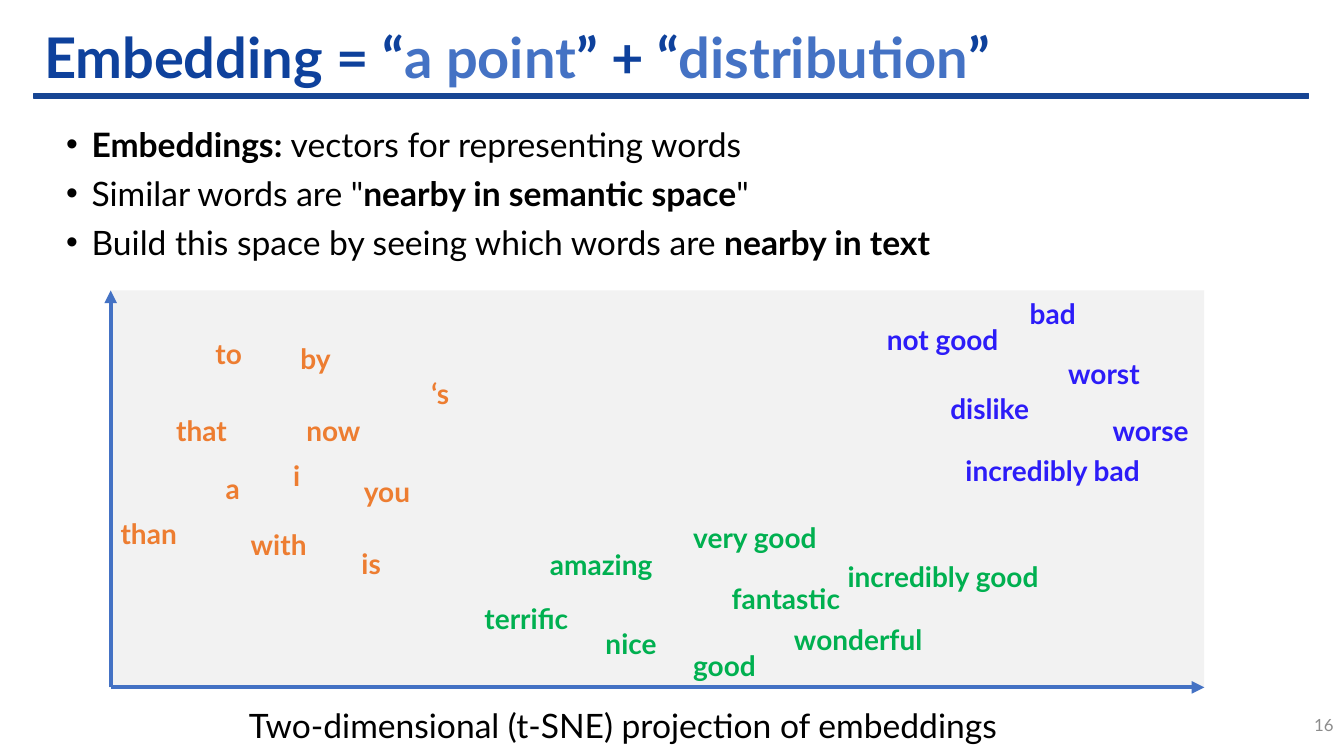
import pptx
import pptx.dml.color
import pptx.enum.shapes
import pptx.enum.text
import pptx.oxml
import pptx.oxml.ns
import pptx.util
from pptx.util import Cm

RGBColor = pptx.dml.color.RGBColor
BAR_BLUE = RGBColor(0x17, 0x45, 0x93)
TITLE_BLUE = RGBColor(0x0E, 0x41, 0x9C)
ACCENT_BLUE = RGBColor(0x44, 0x72, 0xC4)
PLOT_GREY = RGBColor(0xBF, 0xBF, 0xBF)
PAGE_GREY = RGBColor(0x8C, 0x8C, 0x8C)
BLACK = RGBColor(0x00, 0x00, 0x00)
ORANGE = RGBColor(0xED, 0x7D, 0x31)
VIOLET = RGBColor(0x2C, 0x1C, 0xF8)
GREEN = RGBColor(0x00, 0xB0, 0x50)

deck = pptx.Presentation()
deck.slide_width, deck.slide_height = Cm(33.87), Cm(19.05)
slide = deck.slides.add_slide(deck.slide_layouts[6])


def add_xml(parent, tag, **attributes):
    element = pptx.oxml.parse_xml(f"<a:{tag} {pptx.oxml.ns.nsdecls('a')}/>")
    for name, value in attributes.items():
        element.set(name, value)
    parent.append(element)


def add_text(left, top, width, height, lines, size, wrap=True):
    box = slide.shapes.add_textbox(Cm(left), Cm(top), Cm(width), Cm(height))
    frame = box.text_frame
    frame.word_wrap = wrap
    if not wrap:
        frame.auto_size = pptx.enum.text.MSO_AUTO_SIZE.SHAPE_TO_FIT_TEXT
    for index, line in enumerate(lines):
        para = frame.add_paragraph() if index else frame.paragraphs[0]
        for text, color, bold in line:
            span = para.add_run()
            span.text = text
            span.font.name = "Lato"
            span.font.size = pptx.util.Pt(size)
            span.font.bold = bold
            span.font.color.rgb = color
    return frame


bar = slide.shapes.add_shape(
    pptx.enum.shapes.MSO_SHAPE.RECTANGLE, Cm(0.86), Cm(2.36), Cm(32.11), Cm(0.13))
bar.shadow.inherit = False
bar.fill.solid()
bar.fill.fore_color.rgb = BAR_BLUE
bar.line.color.rgb = BAR_BLUE
bar.line.width = pptx.util.Pt(1)

PLOT_LEFT, PLOT_TOP, PLOT_WIDTH, PLOT_HEIGHT = 2.79, 7.32, 27.56, 10
plot = slide.shapes.add_shape(
    pptx.enum.shapes.MSO_SHAPE.RECTANGLE,
    Cm(PLOT_LEFT), Cm(PLOT_TOP), Cm(PLOT_WIDTH), Cm(PLOT_HEIGHT))
plot.shadow.inherit = False
plot.fill.solid()
plot.fill.fore_color.rgb = PLOT_GREY
plot.line.fill.background()
grey = plot.fill._xPr.find(".//" + pptx.oxml.ns.qn("a:srgbClr"))
add_xml(grey, "alpha", val="20000")

title = add_text(0.86, 0.66, 32.11, 1.7, [[
    ("Embedding = “", TITLE_BLUE, True),
    ("a point", ACCENT_BLUE, True),
    ("” + “", TITLE_BLUE, True),
    ("distribution", ACCENT_BLUE, True),
    ("”", TITLE_BLUE, True),
]], 40)
title.vertical_anchor = pptx.enum.text.MSO_ANCHOR.MIDDLE
title.paragraphs[0].line_spacing = 0.9

points = add_text(1.42, 3, 29.21, 3.58, [
    [("Embeddings: ", BLACK, True), ("vectors for representing words", BLACK, False)],
    [("Similar words are \"", BLACK, False), ("nearby in semantic space", BLACK, True),
     ("\"", BLACK, False)],
    [("Build this space by seeing which words are ", BLACK, False),
     ("nearby in text", BLACK, True)],
], 24)
for index, para in enumerate(points.paragraphs):
    properties = para._p.get_or_add_pPr()
    properties.set("marL", str(Cm(0.64)))
    properties.set("indent", str(Cm(-0.64)))
    add_xml(properties, "buFont", typeface="Arial")
    add_xml(properties, "buChar", char="•")
    if index:
        para.space_before = pptx.util.Pt(6)

word_clusters = {
    ORANGE: [
        ("to", 5.18, 8.36, 1.19), ("by", 7.32, 8.48, 1.35), ("‘s", 10.62, 9.37, 1.12),
        ("now", 7.47, 10.29, 1.93), ("that", 4.19, 10.29, 1.83), ("a", 5.44, 11.76, 0.91),
        ("i", 7.14, 11.43, 0.71), ("you", 8.92, 11.84, 1.78), ("than", 2.79, 12.88, 2.01),
        ("with", 6.07, 13.18, 1.93), ("is", 8.86, 13.64, 1.12),
    ],
    VIOLET: [
        ("not good", 22.1, 8, 3.56), ("bad", 25.7, 7.34, 1.78), ("worst", 26.67, 8.86, 2.41),
        ("worse", 27.79, 10.29, 2.57), ("dislike", 23.7, 9.75, 2.72),
        ("incredibly bad", 24.08, 11.3, 5.33),
    ],
    GREEN: [
        ("amazing", 13.61, 13.67, 3.35), ("very good", 17.22, 13, 3.91),
        ("fantastic", 18.19, 14.53, 3.43), ("incredibly good", 21.11, 13.97, 5.82),
        ("wonderful", 19.76, 15.57, 3.91), ("nice", 15.01, 15.65, 1.93),
        ("good", 17.22, 16.21, 2.26), ("terrific", 11.96, 15.04, 2.72),
    ],
}
for color, words in word_clusters.items():
    for word, left, top, width in words:
        add_text(left, top, width, 1.12, [[(word, color, True)]], 20, wrap=False)

origin_y = PLOT_TOP + PLOT_HEIGHT
for end_x, end_y in [(PLOT_LEFT, PLOT_TOP), (PLOT_LEFT + PLOT_WIDTH, origin_y)]:
    axis = slide.shapes.add_connector(
        pptx.enum.shapes.MSO_CONNECTOR.STRAIGHT,
        Cm(PLOT_LEFT), Cm(origin_y), Cm(end_x), Cm(end_y))
    axis.line.color.rgb = ACCENT_BLUE
    axis.line.width = pptx.util.Pt(3)
    add_xml(axis.line._get_or_add_ln(), "tailEnd", type="triangle")
    add_xml(axis._element.spPr, "effectLst")

add_text(6.02, 17.63, 19.84, 1.27,
         [[("Two-dimensional (t-SNE) projection of embeddings", BLACK, False)]], 24, wrap=False)

page_number = add_text(32.16, 17.75, 1.7, 1.02, [[("16", PAGE_GREY, False)]], 12)
page_number.vertical_anchor = pptx.enum.text.MSO_ANCHOR.MIDDLE
page_number.paragraphs[0].alignment = pptx.enum.text.PP_ALIGN.RIGHT

deck.save("out.pptx")
